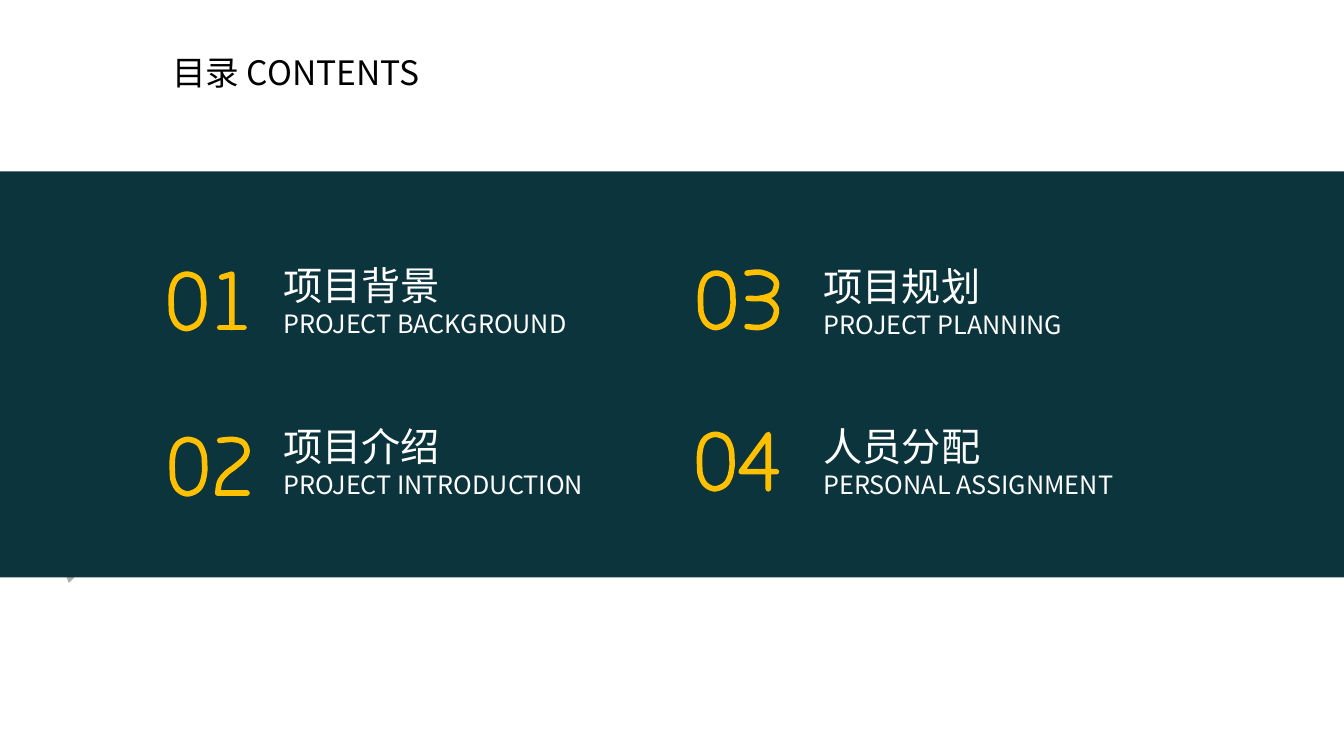
from pptx import Presentation
from pptx.dml.color import RGBColor
from pptx.enum.shapes import MSO_SHAPE
from pptx.enum.text import MSO_ANCHOR
from pptx.oxml.ns import qn
from pptx.util import Inches, Pt
from lxml import etree

RECT = MSO_SHAPE.RECTANGLE
TOP = MSO_ANCHOR.TOP
MIDDLE = MSO_ANCHOR.MIDDLE
TEAL = RGBColor(0x0C, 0x34, 0x3D)
GOLD = RGBColor(0xFF, 0xC0, 0x00)
WHITE = RGBColor(0xFF, 0xFF, 0xFF)
BLACK = RGBColor(0x00, 0x00, 0x00)
DARK = RGBColor(0x36, 0x36, 0x35)
GREY = RGBColor(0x48, 0x48, 0x47)

ZERO = [(.19, .03), (.29, .07), (.34, .17), (.35, .28), (.35, .35),
        (.33, .45), (.28, .53), (.18, .57), (.09, .53), (.04, .44),
        (.03, .35), (.03, .23), (.05, .13), (.1, .06), (.19, .03)]
DIGITS = {
    "0": [(True, ZERO)],
    "1": [(False, [(.05, .06), (.15, .03), (.15, .56)]),
          (False, [(.03, .56), (.27, .56)])],
    "2": [(True, [(.05, .04), (.18, .03), (.28, .06), (.32, .14), (.29, .22),
                  (.2, .3), (.11, .37), (.05, .45), (.03, .56)]),
          (False, [(.03, .56), (.32, .56)])],
    "3": [(True, [(.03, .04), (.15, .03), (.25, .06), (.31, .11), (.32, .17),
                  (.28, .25), (.16, .29), (.04, .29)]),
          (True, [(.16, .29), (.25, .31), (.31, .37), (.32, .43), (.29, .51),
                  (.22, .56), (.14, .58), (.03, .57)])],
    "4": [(False, [(.3, .57), (.3, .03), (.03, .4), (.38, .4)])],
}
ITEMS = [
    ("01", (1.67, 2.69), (2.15, 2.69), (2.71, 2.54, 3.27),
     "项目背景", "PROJECT BACKGROUND"),
    ("02", (1.68, 4.33), (2.13, 4.33), (2.71, 4.14, 3.48),
     "项目介绍", "PROJECT INTRODUCTION"),
    ("03", (6.92, 2.68), (7.38, 2.67), (8.07, 2.55, 3.27),
     "项目规划", "PROJECT PLANNING"),
    ("04", (6.91, 4.28), (7.32, 4.28), (8.07, 4.14, 3.65),
     "人员分配", "PERSONAL ASSIGNMENT"),
]


def smooth(dots, steps=6):
    closed = dots[0] == dots[-1]
    first = dots[-2] if closed else dots[0]
    last = dots[1] if closed else dots[-1]
    row = [first, *dots, last]
    curve = [dots[0]]
    for a, b, c, d in zip(row, row[1:], row[2:], row[3:]):
        for step in range(1, steps + 1):
            t = step / steps
            curve.append(tuple(
                (2 * q + (r - p) * t + (2 * p - 5 * q + 4 * r - s) * t ** 2
                 + (3 * q - p - 3 * r + s) * t ** 3) / 2
                for p, q, r, s in zip(a, b, c, d)))
    return curve


class Deck:
    font = "Noto Sans CJK SC"
    stroke = Pt(4)

    def __init__(self, show):
        self.slide = show.slides.add_slide(show.slide_layouts[6])
        self.shapes = self.slide.shapes

    def outline(self, shapes, lines, close=False):
        spots = [[(Inches(x), Inches(y)) for x, y in line] for line in lines]
        pen = shapes.build_freeform(*spots[0][0], scale=1.0)
        for index, line in enumerate(spots):
            if index:
                pen.move_to(*line[0])
            pen.add_line_segments(line[1:], close=close)
        shape = pen.convert_to_shape()
        shape.shadow.inherit = False
        return shape

    def wedge(self, dots):
        shape = self.outline(self.shapes, [dots], close=True)
        shape.line.fill.background()
        shape.fill.gradient()
        shape.fill.gradient_angle = 28
        for stop, color in zip(shape.fill.gradient_stops, (DARK, GREY)):
            stop.color.rgb = color
        tint = next(shape.element.iter(qn("a:srgbClr")))
        etree.SubElement(tint, qn("a:alpha")).set("val", "22000")

    def band(self, x, y, w, h):
        shape = self.shapes.add_shape(
            RECT, Inches(x), Inches(y), Inches(w), Inches(h))
        shape.shadow.inherit = False
        shape.fill.solid()
        shape.fill.fore_color.rgb = TEAL
        shape.line.fill.background()

    def number(self, text, spots):
        group = self.shapes.add_group_shape()
        for sign, (x, y) in zip(text, spots):
            lines = [[(x + a, y + b) for a, b in (smooth(dots) if bend else dots)]
                     for bend, dots in DIGITS[sign]]
            shape = self.outline(group.shapes, lines)
            shape.fill.background()
            shape.line.color.rgb = GOLD
            shape.line.width = self.stroke
            edge = shape.element.spPr.find(qn("a:ln"))
            edge.set("cap", "rnd")
            etree.SubElement(edge, qn("a:round"))

    def text(self, x, y, w, h, lines, color, anchor=TOP, space=1.0):
        box = self.shapes.add_textbox(Inches(x), Inches(y), Inches(w), Inches(h))
        frame = box.text_frame
        frame.word_wrap = True
        frame.vertical_anchor = anchor
        for index, (words, size) in enumerate(lines):
            para = frame.add_paragraph() if index else frame.paragraphs[0]
            para.line_spacing = space
            run = para.add_run()
            run.text = words
            run.font.color.rgb = color
            for key, value in {"size": Pt(size), "name": self.font}.items():
                setattr(run.font, key, value)
            east = etree.SubElement(run.font._element, qn("a:ea"))
            east.set("typeface", self.font)


def main():
    show = Presentation()
    show.slide_width = Inches(13.33)
    show.slide_height = Inches(7.5)
    deck = Deck(show)
    deck.wedge([(.23, 4.64), (1.58, 4.84), (.68, 5.78)])
    deck.band(0, 1.7, 13.33, 4.03)
    deck.text(1.61, .39, 3.27, .7, [("目录 CONTENTS", 24)], BLACK, MIDDLE, .9)
    for mark, left, right, (x, y, w), name, label in ITEMS:
        deck.number(mark, (left, right))
        deck.text(x, y, w, .87, [(name, 28), (label, 18)], WHITE)
    show.save("out.pptx")


if __name__ == "__main__":
    main()
